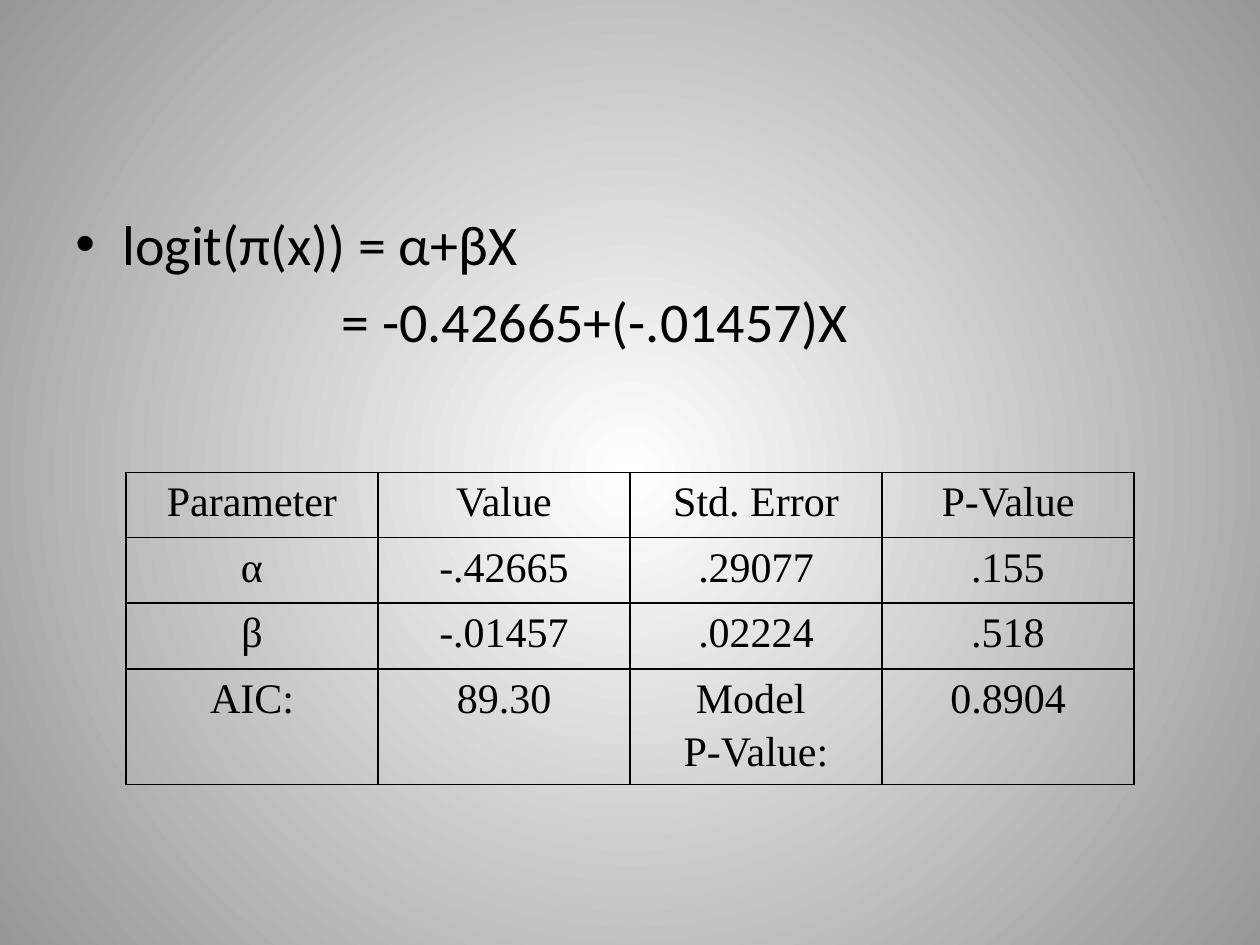
from dataclasses import dataclass

from lxml.etree import SubElement
from pptx import Presentation
from pptx.dml.color import RGBColor
from pptx.enum.text import PP_ALIGN
from pptx.oxml.ns import qn
from pptx.util import Cm, Pt


@dataclass(frozen=True)
class Theme:
    """Colours, fonts and sizes of the slide."""
    ink: str = "000000"
    centre: str = "FFFFFF"
    edge: str = "979797"
    body_font: str = "Calibri"
    table_font: str = "Times New Roman"
    body_size: int = 32
    table_size: int = 24
    rule: float = 1
    summary_rule: float = 1.5


THEME = Theme()
ROWS = [
    ["Parameter", "Value", "Std. Error", "P-Value"],
    ["α", "-.42665", ".29077", ".155"],
    ["β", "-.01457", ".02224", ".518"],
    ["AIC:", "89.30", "Model \nP-Value:", "0.8904"],
]


def paint_background(page):
    """Fill the page with a radial gradient."""
    fill = page.background.fill
    fill.gradient()
    for stop, colour in zip(fill.gradient_stops, (THEME.centre, THEME.edge)):
        stop.color.rgb = RGBColor.from_string(colour)
    for stop, position in zip(fill.gradient_stops, (0, 1)):
        stop.position = position
    gradient = next(page.background._cSld.iter(qn("a:gradFill")))
    gradient.remove(gradient.find(qn("a:lin")))
    path = SubElement(gradient, qn("a:path"), path="circle")
    SubElement(path, qn("a:fillToRect"), l="50000", t="50000", r="50000", b="50000")


def style_font(para, name, size):
    """Set the paragraph's font, size and colour."""
    para.font.name = name
    para.font.size = Pt(size)
    para.font.color.rgb = RGBColor.from_string(THEME.ink)


def indent(para, left, first=0, bullet=None):
    """Set the paragraph's margins and its bullet."""
    properties = para._p.get_or_add_pPr()
    properties.set("marL", str(Cm(left)))
    properties.set("indent", str(Cm(first)))
    if bullet:
        SubElement(properties, qn("a:buFont"), typeface="Arial")
        SubElement(properties, qn("a:buChar"), char=bullet)


def add_equation(page):
    """Add the fitted model on two lines aligned at the equals sign."""
    box = page.shapes.add_textbox(Cm(1.27), Cm(0.84), Cm(22.86), Cm(16.18))
    frame = box.text_frame
    frame.word_wrap = True
    frame.margin_top = Cm(3.38)
    frame.text = "logit(π(x)) = α+βX\n= -0.42665+(-.01457)X"
    model, estimate = frame.paragraphs
    estimate.space_before = Pt(5.6)
    for para in frame.paragraphs:
        style_font(para, THEME.body_font, THEME.body_size)
    indent(model, 0.95, -0.95, "•")
    indent(estimate, 5.37)


def draw_border(cell, side, width):
    """Draw one solid border of a cell."""
    line = SubElement(cell._tc.get_or_add_tcPr(), qn(f"a:ln{side}"), w=str(Pt(width)))
    fill = SubElement(line, qn("a:solidFill"))
    SubElement(fill, qn("a:srgbClr"), val=THEME.ink)


def fill_cell(cell, text, heavy_side):
    """Write and style one table cell."""
    cell.text = text
    cell.margin_left = cell.margin_right = Cm(0.19)
    cell.margin_top = cell.margin_bottom = 0
    for para in cell.text_frame.paragraphs:
        para.alignment = PP_ALIGN.CENTER
        para.line_spacing = 1.15
        style_font(para, THEME.table_font, THEME.table_size)
    for side in "LRTB":
        draw_border(cell, side, THEME.summary_rule if side == heavy_side else THEME.rule)
    cell.fill.background()


def add_results(page):
    """Add the table of estimates with a heavier rule above its last row."""
    heights = [Cm(1.32)] * 3 + [Cm(2.15)]
    frame = page.shapes.add_table(
        len(ROWS), len(ROWS[0]), Cm(2.54), Cm(9.52), Cm(20.32), sum(heights))
    table = frame.table
    table.first_row = table.horz_banding = False
    heavy_sides = {len(ROWS) - 2: "B", len(ROWS) - 1: "T"}
    for index, values in enumerate(ROWS):
        table.rows[index].height = heights[index]
        for column, text in enumerate(values):
            fill_cell(table.cell(index, column), text, heavy_sides.get(index))


def main():
    """Build and save the deck."""
    deck = Presentation()
    deck.slide_width, deck.slide_height = Cm(25.4), Cm(19.05)
    page = deck.slides.add_slide(deck.slide_layouts[6])
    paint_background(page)
    add_equation(page)
    add_results(page)
    deck.save("out.pptx")


if __name__ == "__main__":
    main()
